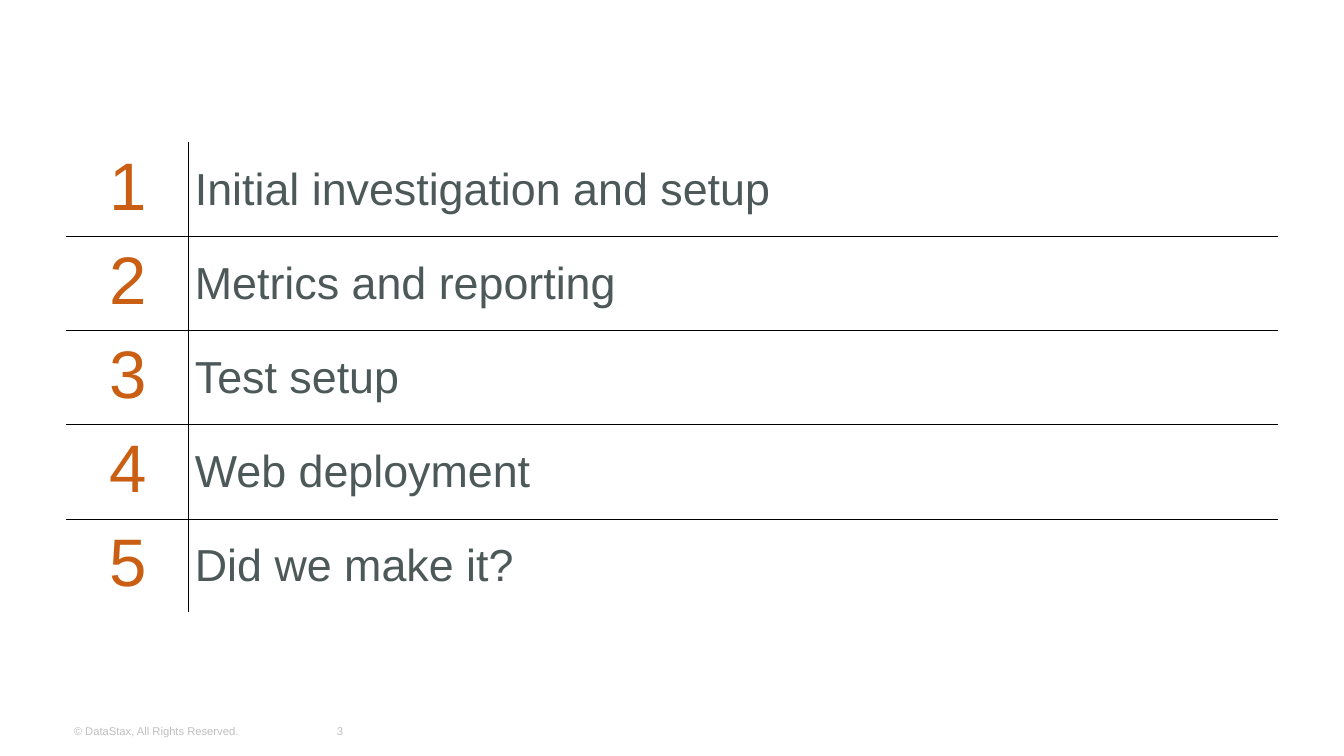
"""Build an agenda slide with five numbered rows and a footer."""
from lxml import etree
from pptx import Presentation, util as u
from pptx.dml.color import RGBColor
from pptx.enum import text
from pptx.oxml.ns import qn

WIDTH = u.Inches(10)
HEIGHT = WIDTH * 9 // 16
MARGIN = u.Inches(0.5)
COLUMNS = [u.Inches(0.9), u.Inches(8.1)]
ROW = u.Inches(0.7)
INSET = u.Inches(0.05)
AGENDA = [
    "Initial investigation and setup",
    "Metrics and reporting",
    "Test setup",
    "Web deployment",
    "Did we make it?",
]
LEFT, CENTER = text.PP_ALIGN.LEFT, text.PP_ALIGN.CENTER
TOP, MIDDLE = text.MSO_ANCHOR.TOP, text.MSO_ANCHOR.MIDDLE


def write(holder, frame, words, size, color, alignment, anchor):
    layout = {side: INSET for side in ("margin_left", "margin_right", "margin_top", "margin_bottom")}
    for name, value in {**layout, "vertical_anchor": anchor}.items():
        setattr(holder, name, value)
    paragraph = frame.paragraphs[0]
    paragraph.alignment = alignment
    run = paragraph.add_run()
    run.text = words
    for name, value in {"name": "Arial", "size": u.Pt(size), "bold": False}.items():
        setattr(run.font, name, value)
    run.font.color.rgb = RGBColor.from_string(color)


def rule(cell, side):
    line = etree.SubElement(cell._tc.get_or_add_tcPr(), qn(f"a:ln{side}"), w=str(u.Pt(0.25)))
    fill = etree.SubElement(line, qn("a:solidFill"))
    etree.SubElement(fill, qn("a:srgbClr"), val="000000")


presentation = Presentation()
presentation.slide_width, presentation.slide_height = WIDTH, HEIGHT
slide = presentation.slides.add_slide(presentation.slide_layouts[6])

last = len(AGENDA) - 1
table = slide.shapes.add_table(
    len(AGENDA), len(COLUMNS), MARGIN, u.Inches(1.06), sum(COLUMNS), ROW * len(AGENDA)
).table
for name in ("first_row", "horz_banding"):
    setattr(table, name, False)
for column, width in zip(table.columns, COLUMNS):
    column.width = width

for index, topic in enumerate(AGENDA):
    table.rows[index].height = ROW
    number, label = table.rows[index].cells
    write(number, number.text_frame, str(index + 1), 36, "CA5F14", CENTER, TOP)
    write(label, label.text_frame, topic, 24, "4C5958", LEFT, MIDDLE)
    for cell, inner in ((number, "R"), (label, "L")):
        rule(cell, inner)
        if index > 0:
            rule(cell, "T")
        if index < last:
            rule(cell, "B")
        cell.fill.background()

footers = [
    (0.5, 1.74, "© DataStax, All Rights Reserved.", LEFT, True),
    (2.45, 0.16, "3", CENTER, False),
]
for left, width, words, alignment, wrap in footers:
    shape = slide.shapes.add_textbox(u.Inches(left), u.Inches(5.35), u.Inches(width), u.Inches(0.18))
    frame = shape.text_frame
    frame.word_wrap = wrap
    write(frame, frame, words, 6, "BFBFBF", alignment, MIDDLE)

presentation.save("out.pptx")
